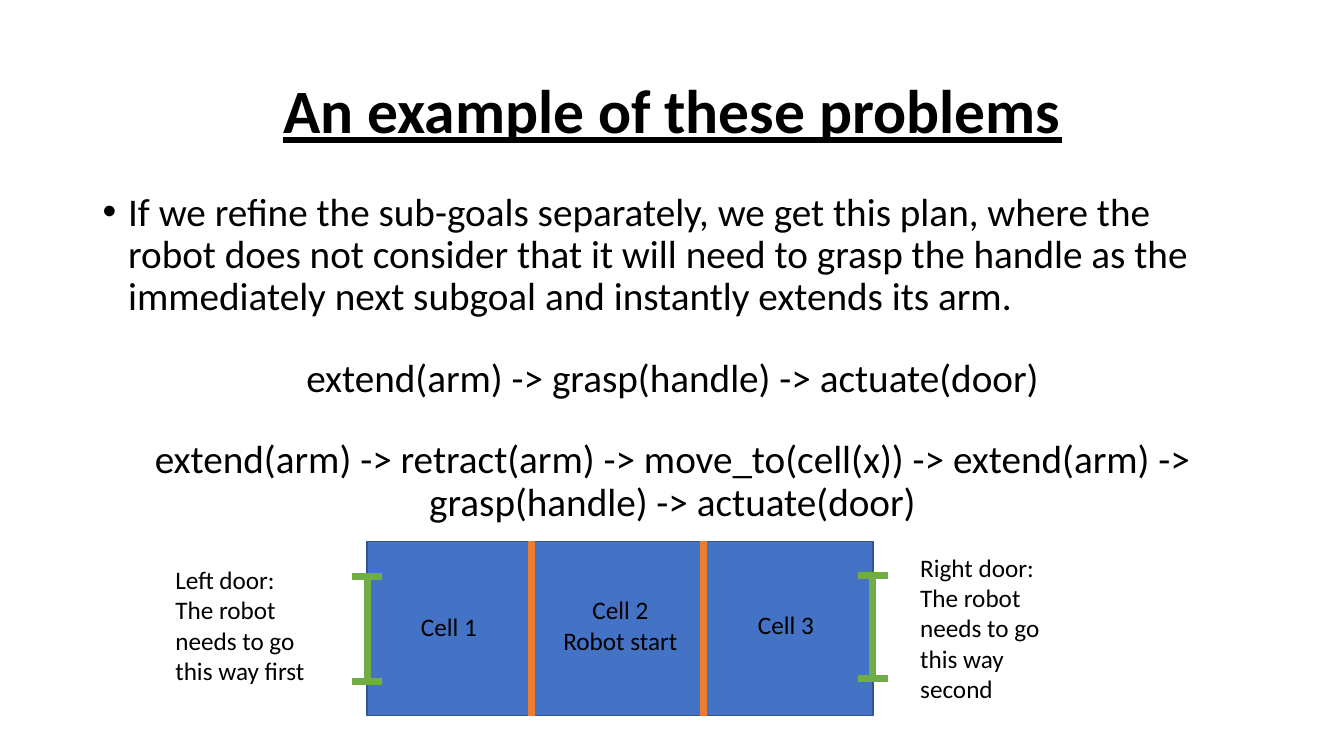
from dataclasses import dataclass

from lxml.etree import SubElement
from pptx import Presentation
from pptx.dml.color import RGBColor
from pptx.enum.shapes import MSO_CONNECTOR, MSO_SHAPE
from pptx.enum.text import MSO_ANCHOR, MSO_AUTO_SIZE, PP_ALIGN
from pptx.oxml.ns import qn
from pptx.util import Cm, Pt

FONT = "Calibri"
BLACK, BLUE, NAVY = "000000", "4472C4", "325491"
ORANGE, GREEN = "ED7D31", "70AD47"

# Room and door measures in centimetres
ROOM_LEFT, ROOM_TOP, ROOM_WIDTH, ROOM_HEIGHT = 9.25, 13.64, 12.75, 4.39
ROOM_BOTTOM = ROOM_TOP + ROOM_HEIGHT
WALLS = (13.39, 17.73)
CAP = 0.37


@dataclass(frozen=True)
class Door:
    x: float
    top: float
    bottom: float


@dataclass(frozen=True)
class Label:
    lines: tuple[str, ...]
    left: float
    top: float
    width: float
    height: float
    align: PP_ALIGN = PP_ALIGN.LEFT


DOORS = (
    Door(ROOM_LEFT, 14.53, 17.17),
    Door(ROOM_LEFT + ROOM_WIDTH, 14.5, 17.1),
)
LABELS = (
    Label(("Cell 1",), 10.36, 15.27, 2.18, 1.03),
    Label(("Cell 3",), 18.85, 15.24, 2.18, 1.03),
    Label(("Left door:", "The robot needs to go this way first"),
          4.17, 14.1, 4.17, 3.33),
    Label(("Right door:", "The robot needs to go this way second"),
          22.94, 13.79, 4.17, 4.11),
    Label(("Cell 2", "Robot start"), 13.03, 14.86, 5.21, 1.8, PP_ALIGN.CENTER),
)
INTRO = ("If we refine the sub-goals separately, we get this plan, where the "
         "robot does not consider that it will need to grasp the handle as the "
         "immediately next subgoal and instantly extends its arm.")
PLANS = (
    "extend(arm) -> grasp(handle) -> actuate(door)",
    "extend(arm) -> retract(arm) -> move_to(cell(x)) -> extend(arm) -> "
    "grasp(handle) -> actuate(door)",
)


def rgb(value: str) -> RGBColor:
    return RGBColor.from_string(value)


def write(tf, text: str, *, size: float = 18, bold: bool = False,
          underline: bool = False, align: PP_ALIGN = PP_ALIGN.LEFT,
          spacing: float = 1.0, before: float = 0):
    """Fill the frame's empty first paragraph, or append a new one."""
    p = tf.paragraphs[0] if not tf.text else tf.add_paragraph()
    p.alignment = align
    p.line_spacing = spacing
    p.space_before = Pt(before)
    r = p.add_run()
    r.text = text
    r.font.name = FONT
    r.font.size = Pt(size)
    r.font.bold = bold
    r.font.underline = underline
    r.font.color.rgb = rgb(BLACK)
    return p


def add_bullet(p, indent: float) -> None:
    pPr = p._p.get_or_add_pPr()
    pPr.set("marL", str(Cm(indent)))
    pPr.set("indent", str(-Cm(indent)))
    SubElement(pPr, qn("a:buFont"), typeface="Arial")
    SubElement(pPr, qn("a:buChar"), char="•")


def add_text_frame(s, left: float, top: float, width: float, height: float):
    tf = s.shapes.add_textbox(Cm(left), Cm(top), Cm(width), Cm(height)).text_frame
    tf.word_wrap = True
    return tf


def add_line(s, x1: float, y1: float, x2: float, y2: float, color: str) -> None:
    line = s.shapes.add_connector(
        MSO_CONNECTOR.STRAIGHT, Cm(x1), Cm(y1), Cm(x2), Cm(y2))
    line.line.color.rgb = rgb(color)
    line.line.width = Pt(5)
    SubElement(line._element.spPr, qn("a:effectLst"))


def add_title(s) -> None:
    sp = s.shapes.title
    sp.left, sp.top, sp.width, sp.height = Cm(2.34), Cm(1.02), Cm(29.21), Cm(3.68)
    tf = sp.text_frame
    tf.vertical_anchor = MSO_ANCHOR.MIDDLE
    write(tf, "An example of these problems", size=44, bold=True,
          underline=True, align=PP_ALIGN.CENTER, spacing=0.9)


def add_body(s) -> None:
    tf = add_text_frame(s, 2.34, 4.72, 29.21, 12.09)
    add_bullet(write(tf, INTRO, size=28, spacing=0.9), 0.64)
    for plan in PLANS:
        write(tf, plan, size=28, align=PP_ALIGN.CENTER, spacing=0.9, before=28)


def add_room(s) -> None:
    sp = s.shapes.add_shape(MSO_SHAPE.RECTANGLE, Cm(ROOM_LEFT), Cm(ROOM_TOP),
                            Cm(ROOM_WIDTH), Cm(ROOM_HEIGHT))
    sp.shadow.inherit = False
    sp.fill.solid()
    sp.fill.fore_color.rgb = rgb(BLUE)
    sp.line.color.rgb = rgb(NAVY)
    sp.line.width = Pt(1)
    for x in WALLS:
        add_line(s, x, ROOM_TOP, x, ROOM_BOTTOM, ORANGE)


def add_door(s, door: Door) -> None:
    for y in (door.top, door.bottom):
        add_line(s, door.x - CAP, y, door.x + CAP, y, GREEN)
    add_line(s, door.x, door.top, door.x, door.bottom, GREEN)


def add_label(s, label: Label) -> None:
    tf = add_text_frame(s, label.left, label.top, label.width, label.height)
    tf.auto_size = MSO_AUTO_SIZE.SHAPE_TO_FIT_TEXT
    for text in label.lines:
        write(tf, text, align=label.align)


def main() -> None:
    prs = Presentation()
    prs.slide_width, prs.slide_height = Cm(33.87), Cm(19.05)
    s = prs.slides.add_slide(prs.slide_layouts.get_by_name("Title Only"))
    add_title(s)
    add_body(s)
    add_room(s)
    for door in DOORS:
        add_door(s, door)
    for label in LABELS:
        add_label(s, label)
    prs.save("out.pptx")


if __name__ == "__main__":
    main()
